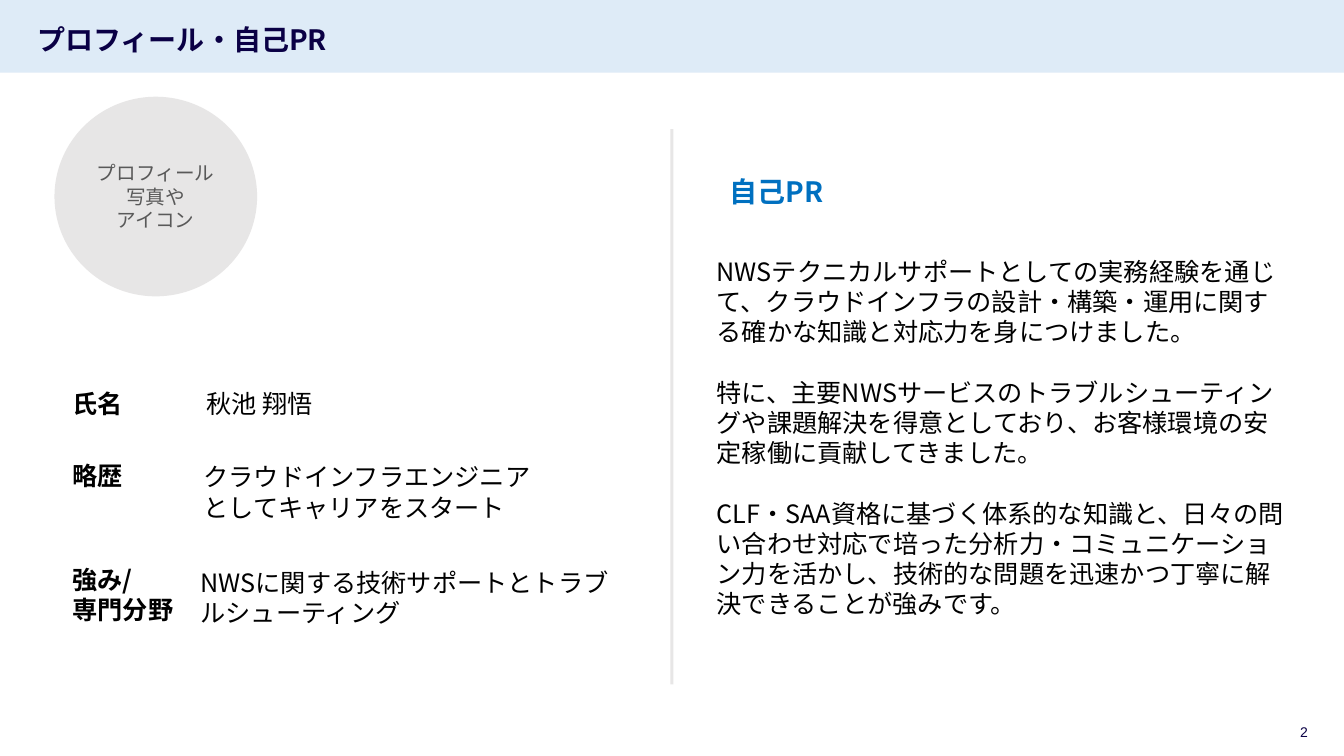
from lxml import etree
from pptx import Presentation
from pptx.dml.color import RGBColor
from pptx.enum import shapes, text
from pptx.oxml.ns import qn
from pptx.util import Inches, Pt

# Content
TITLE = "プロフィール・自己PR"
PHOTO = ["プロフィール", "写真や", "アイコン"]
# label, label box, value, value box (left, top, width, height)
FACTS = [
    (["氏名"], (0.62, 3.8, 0.9, 0.4),
     ["秋池 翔悟"], (1.95, 3.8, 2.52, 0.4)),
    (["略歴"], (0.62, 4.52, 0.9, 0.4),
     ["クラウドインフラエンジニア", "としてキャリアをスタート"], (1.92, 4.53, 3.9, 0.71)),
    (["強み/", "専門分野"], (0.62, 5.55, 1.27, 0.71),
     ["NWSに関する技術サポートとトラブルシューティング"], (1.89, 5.58, 4.33, 0.71)),
]
HEAD = "自己PR"
PITCH = [
    "NWSテクニカルサポートとしての実務経験を通じて、クラウドインフラの設計・構築・運用に関する"
    "確かな知識と対応力を身につけました。",
    "特に、主要NWSサービスのトラブルシューティングや課題解決を得意としており、"
    "お客様環境の安定稼働に貢献してきました。",
    "CLF・SAA資格に基づく体系的な知識と、日々の問い合わせ対応で培った分析力・"
    "コミュニケーション力を活かし、技術的な問題を迅速かつ丁寧に解決できることが強みです。",
]
PAGE = "2"

# Style
FONT = "Noto Sans CJK JP"
NAVY = RGBColor(0x0A, 0x00, 0x45)
BLUE = RGBColor(0x00, 0x70, 0xC0)
PALE = RGBColor(0xDE, 0xEB, 0xF7)
GREY = RGBColor(0xE7, 0xE6, 0xE6)
DARK = RGBColor(0x59, 0x59, 0x59)
BLACK = RGBColor(0, 0, 0)
LEAD = 1.2  # line pitch as a share of the text size

prs = Presentation()
prs.slide_width, prs.slide_height = Inches(13.33), Inches(7.5)
slide = prs.slides.add_slide(prs.slide_layouts[6])


def write(shape, lines, size=18, color=BLACK, bold=False, font=FONT,
          align=text.PP_ALIGN.LEFT, gap=0, inset=True, middle=False):
    frame = shape.text_frame
    frame.word_wrap = True
    if not inset:
        frame.margin_left = frame.margin_right = 0
        frame.margin_top = frame.margin_bottom = 0
    anchor = text.MSO_ANCHOR
    frame.vertical_anchor = anchor.MIDDLE if middle else anchor.TOP
    for i, line in enumerate(lines):
        para = frame.paragraphs[0] if i == 0 else frame.add_paragraph()
        para.alignment = align
        para.line_spacing = Pt(size * LEAD)
        if i and gap:
            para.space_before = Pt(gap)
        run = para.add_run()
        run.text = line
        run.font.size, run.font.bold = Pt(size), bold
        run.font.color.rgb = color
        run.font.name = font
        # East Asian typeface
        east = etree.SubElement(run.font._element, qn("a:ea"))
        east.set("typeface", font)


def label(box, lines, **style):
    write(slide.shapes.add_textbox(*map(Inches, box)), lines, **style)


def block(kind, box, color):
    shape = slide.shapes.add_shape(kind, *map(Inches, box))
    shape.shadow.inherit = False
    shape.fill.solid()
    shape.fill.fore_color.rgb = color
    shape.line.fill.background()
    return shape


# Header band and page number
KIND = shapes.MSO_SHAPE
block(KIND.RECTANGLE, (0, -0.01, 13.33, 0.73), PALE)
label((0.37, 0.13, 8.7, 0.51), [TITLE], size=20, color=NAVY, bold=True,
      inset=False, middle=True)
label((9.42, 7.18, 3.55, 0.19), [PAGE], size=10, color=NAVY, font="Arial",
      align=text.PP_ALIGN.RIGHT, inset=False)

# Profile on the left
photo = block(KIND.OVAL, (0.54, 0.96, 2.01, 1.98), GREY)
write(photo, PHOTO, size=14, color=DARK, align=text.PP_ALIGN.CENTER,
      inset=False, middle=True)
for name, spot, value, area in FACTS:
    label(spot, name, bold=True)
    label(area, value)

# Divider and pitch on the right
block(KIND.RECTANGLE, (6.65, 1.28, 0.03, 5.51), GREY)
label((7.14, 1.68, 3.39, 0.44), [HEAD], size=20, color=BLUE, bold=True)
label((7.01, 2.49, 5.87, 3.74), PITCH, gap=18 * LEAD)

prs.save("out.pptx")
